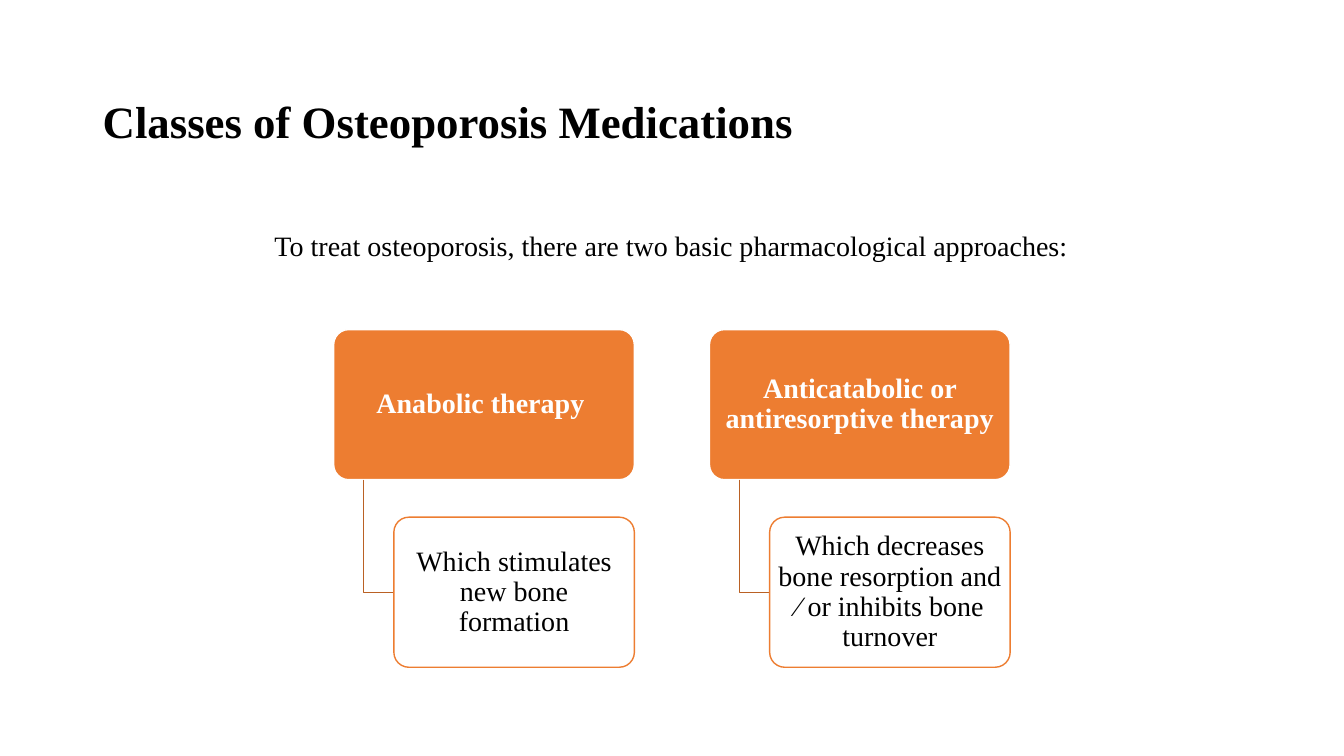
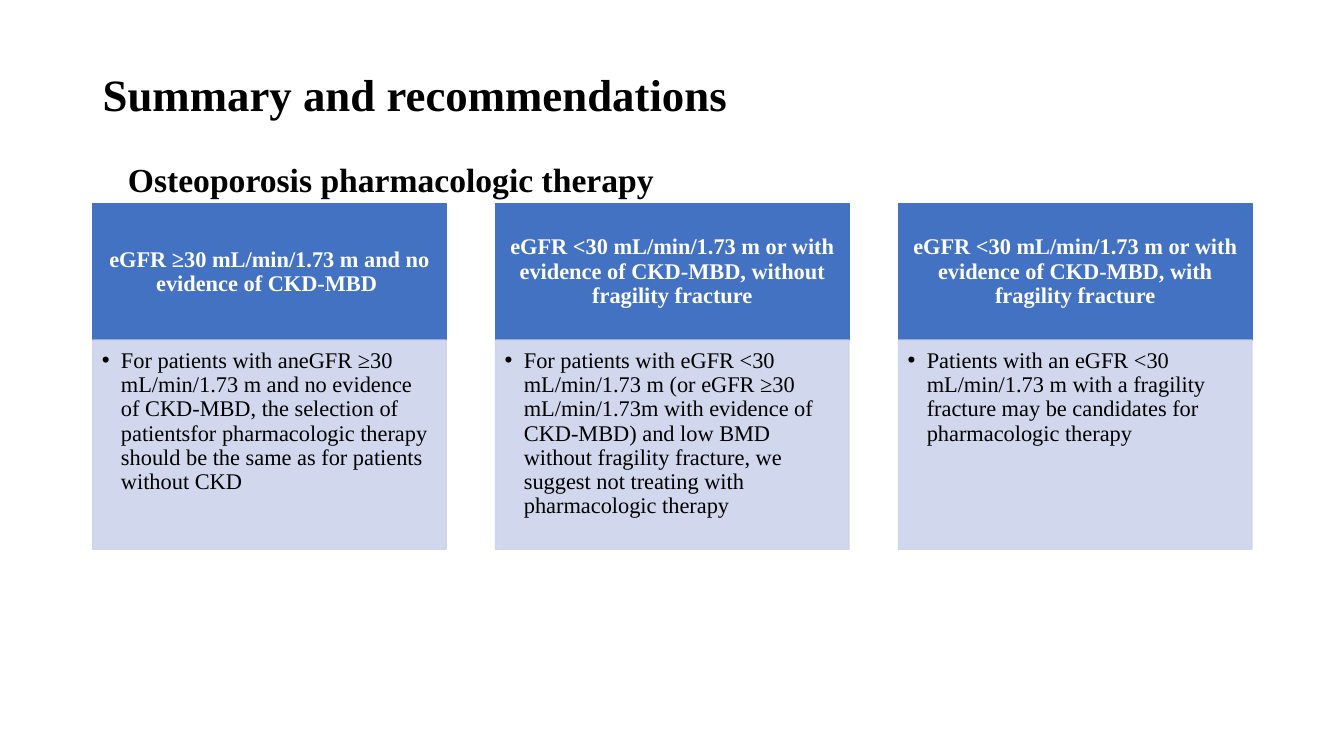
from lxml import etree
from pptx import Presentation
from pptx.dml.color import RGBColor
from pptx.enum.shapes import MSO_SHAPE
from pptx.enum.text import MSO_ANCHOR, PP_ALIGN
from pptx.oxml.ns import qn
from pptx.util import Inches, Pt

RECT, ROUND = MSO_SHAPE.RECTANGLE, MSO_SHAPE.ROUNDED_RECTANGLE
TOP, MID = MSO_ANCHOR.TOP, MSO_ANCHOR.MIDDLE
LEFT, MIDDLE = PP_ALIGN.LEFT, PP_ALIGN.CENTER

FONT = "Times New Roman"
BLACK, WHITE = "000000", "FFFFFF"
ORANGE, RUST = "ED7D31", "BA6124"
BLUE, PALE = "4372C3", "CCD3EA"
PAGE = (0, 0, 13.33, 7.5)
PLAIN = (0.1, 0.05, 0.1, 0.05)
SNUG = (0.04, 0.03, 0.04, 0.03)
HEAD = (0.12, 0.07, 0.12, 0.07)
BODY = (0.09, 0.09, 0.12, 0.14)

PATHS = [
    ("Anabolic therapy ", "Which stimulates new bone formation"),
    ("Anticatabolic or antiresorptive therapy",
     "Which decreases bone resorption and ⁄ or inhibits bone turnover"),
]
CARDS = [
    ("eGFR ≥30 mL/min/1.73 m and no evidence of CKD-MBD ",
     "For patients with aneGFR ≥30 mL/min/1.73 m and no evidence of CKD-MBD, "
     "the selection of patientsfor pharmacologic therapy should be the same "
     "as for patients without CKD"),
    ("eGFR <30 mL/min/1.73 m or with evidence of CKD-MBD, without fragility fracture",
     "For patients with eGFR <30 mL/min/1.73 m (or eGFR ≥30 mL/min/1.73m with "
     "evidence of CKD-MBD) and low BMD without fragility fracture, we suggest "
     "not treating with pharmacologic therapy"),
    ("eGFR <30 mL/min/1.73 m or with evidence of CKD-MBD, with fragility fracture",
     "Patients with an eGFR <30 mL/min/1.73 m with a fragility fracture may be "
     "candidates for pharmacologic therapy"),
]


def part(box, left, top, width, height):
    x, y, w, h = box
    return (x + w * left / 100, y + h * top / 100, w * width / 100, h * height / 100)


def split(box, count, gap):
    x, y, w, h = box
    wide = w / (count + (count - 1) * gap)
    return [(x + i * wide * (1 + gap), y, wide, h) for i in range(count)]


def place(box):
    return [Inches(v) for v in box]


def paint(form, color, alpha=100):
    form.solid()
    form.fore_color.rgb = RGBColor.from_string(color)
    if alpha < 100:
        tone = form._xPr.find(qn("a:solidFill"))[0]
        etree.SubElement(tone, qn("a:alpha"), val=str(alpha * 1000))


def bullet(para, indent):
    props = para._p.get_or_add_pPr()
    props.set("marL", str(Inches(indent)))
    props.set("indent", str(-Inches(indent)))
    tone = etree.SubElement(props, qn("a:buClr"))
    etree.SubElement(tone, qn("a:srgbClr"), val=BLACK)
    etree.SubElement(props, qn("a:buFont"), typeface="Arial")
    etree.SubElement(props, qn("a:buChar"), char="•")


def write(shape, text, size, color=BLACK, bold=False, inset=PLAIN,
          anchor=MID, align=MIDDLE, space=0.9, dot=0):
    frame = shape.text_frame
    frame.word_wrap = True
    frame.vertical_anchor = anchor
    (frame.margin_left, frame.margin_top,
     frame.margin_right, frame.margin_bottom) = place(inset)
    para = frame.paragraphs[0]
    if dot:
        bullet(para, dot)
    para.alignment = align
    para.line_spacing = space
    run = para.add_run()
    run.text = text
    font = run.font
    font.name, font.size, font.bold = FONT, Pt(size), bold
    paint(font.fill, color)


def label(slide, box, text, size, **style):
    write(slide.shapes.add_textbox(*place(box)), text, size, **style)


def panel(slide, kind, box, fill, line, alpha=100, edge=100):
    shape = slide.shapes.add_shape(kind, *place(box))
    if kind == ROUND:
        shape.adjustments[0] = 0.1
    shape.shadow.inherit = False
    paint(shape.fill, fill, alpha)
    paint(shape.line.fill, line, edge)
    shape.line.width = Pt(1)
    return shape


def title(slide, box, text):
    label(slide, box, text, 32, bold=True, align=LEFT)


def stem(slide, box):
    x, y, w, h = place(box)
    build = slide.shapes.build_freeform(x, y)
    build.add_line_segments([(x, y + h), (x + w, y + h)], close=False)
    shape = build.convert_to_shape()
    shape.shadow.inherit = False
    shape.fill.background()
    paint(shape.line.fill, RUST)
    shape.line.width = Pt(1)


def branch(slide, box, name, effect):
    row = 100 / 2.25
    top = panel(slide, ROUND, part(box, 0, 0, 100, row), ORANGE, WHITE)
    write(top, name, 20, WHITE, True, SNUG)
    stem(slide, part(box, 10, row, 10, row * 0.75))
    leaf = panel(slide, ROUND, part(box, 20, row * 1.25, 80, row), WHITE, ORANGE, 90)
    write(leaf, effect, 20, inset=SNUG)


def card(slide, box, name, advice):
    cut = 39.5
    top = panel(slide, RECT, part(box, 0, 0, 100, cut), BLUE, BLUE)
    write(top, name, 16, WHITE, True, HEAD)
    body = panel(slide, RECT, part(box, 0, cut, 100, 100 - cut), PALE, PALE, 90, 90)
    write(body, advice, 16, inset=BODY, anchor=TOP, align=LEFT, dot=0.19)


def classes(slide):
    title(slide, part(PAGE, 6.9, 8.13, 86.25, 16.53), "Classes of Osteoporosis Medications")
    area = part(PAGE, 24.83, 43.6, 50.33, 44.67)
    for box, texts in zip(split(area, len(PATHS), 0.25), PATHS):
        branch(slide, box, *texts)
    label(slide, part(PAGE, 9.6, 27.33, 80.7, 7.47),
          "To treat osteoporosis, there are two basic pharmacological approaches:",
          20, anchor=TOP, space=1.5)


def summary(slide):
    title(slide, part(PAGE, 6.9, 5.33, 86.25, 15.07), "Summary and recommendations")
    area = part(PAGE, 6.9, 26.93, 86.25, 45.73)
    for box, texts in zip(split(area, len(CARDS), 0.14), CARDS):
        card(slide, box, *texts)
    label(slide, part(PAGE, 8.78, 20.4, 50.04, 6.67),
          "Osteoporosis pharmacologic therapy", 24, bold=True,
          anchor=TOP, align=LEFT, space=1.0)


def main():
    deck = Presentation()
    deck.slide_width, deck.slide_height = place(PAGE[2:])
    for draw in (classes, summary):
        draw(deck.slides.add_slide(deck.slide_layouts[6]))
    deck.save("out.pptx")


if __name__ == "__main__":
    main()
